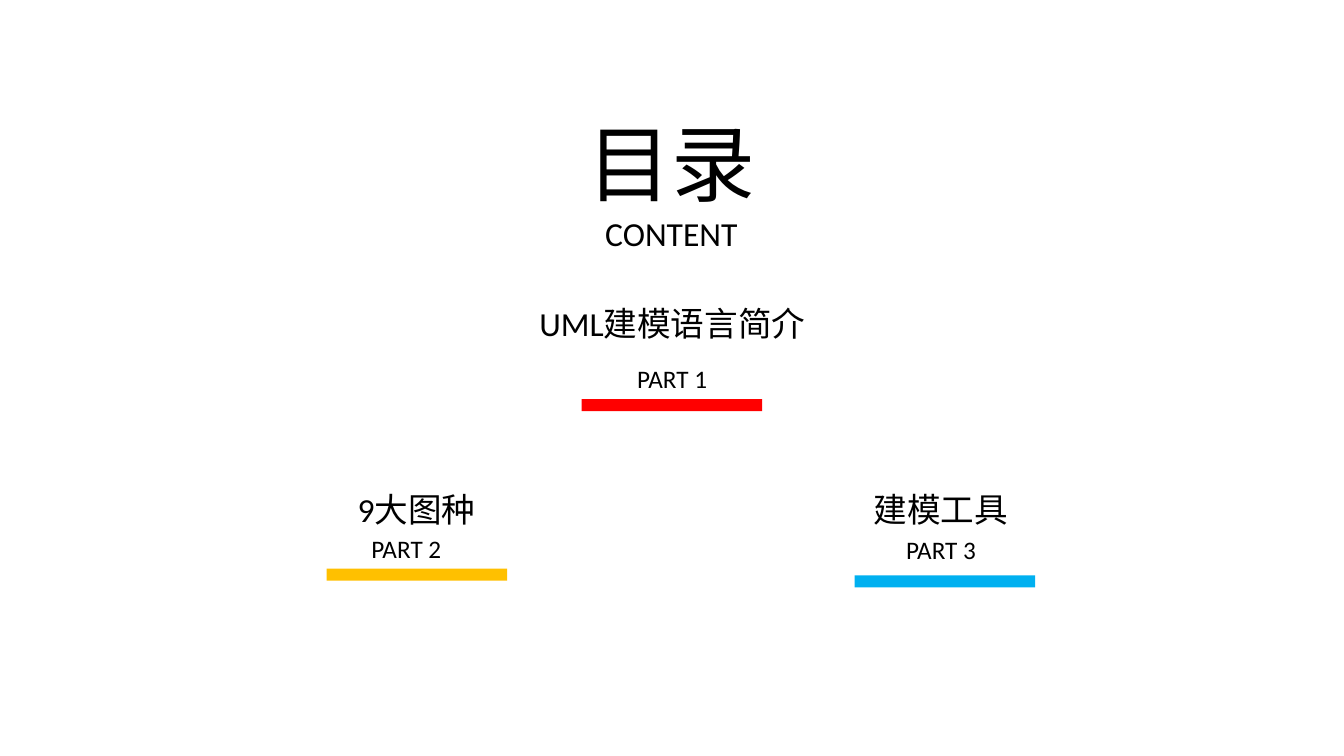
from pptx import Presentation
from pptx.dml.color import RGBColor
from pptx.enum.shapes import MSO_SHAPE
from pptx.enum.text import MSO_ANCHOR, MSO_AUTO_SIZE, PP_ALIGN
from pptx.util import Cm, Pt

FONT = "Calibri"
BLACK = "000000"
TITLE_LINES = [("目录", 60), ("CONTENT", 24)]

# topic, (left, top, width) of topic, (left, top, width) of label, (left, top) of bar, bar colour
PARTS = [
    ("UML建模语言简介", (13.21, 7.52, 7.47), (14.91, 8.79, 4.06), (14.66, 10.06), "FF0000"),
    ("9大图种", (7.11, 12.19, 6.78), (8.03, 13.08, 4.42), (8.23, 14.33), "FFC000"),
    ("建模工具", (20.32, 12.19, 6.78), (21.34, 13.11, 4.75), (21.54, 14.5), "00B0F0"),
]


def rgb(colour):
    return RGBColor.from_string(colour)


def format_paragraph(paragraph, text, size):
    paragraph.text = text
    paragraph.alignment = PP_ALIGN.CENTER
    paragraph.font.name = FONT
    paragraph.font.size = Pt(size)
    paragraph.font.color.rgb = rgb(BLACK)


def fill_title(slide):
    title = slide.shapes.title
    title.left, title.top, title.width, title.height = Cm(14.53), Cm(2.69), Cm(4.78), Cm(3.84)
    frame = title.text_frame
    frame.word_wrap = False
    frame.auto_size = MSO_AUTO_SIZE.SHAPE_TO_FIT_TEXT
    frame.vertical_anchor = MSO_ANCHOR.TOP
    frame.add_paragraph()
    for paragraph, (text, size) in zip(frame.paragraphs, TITLE_LINES):
        format_paragraph(paragraph, text, size)


def add_text(slide, text, place, height, size, line_spacing=None):
    left, top, width = place
    box = slide.shapes.add_textbox(Cm(left), Cm(top), Cm(width), Cm(height))
    frame = box.text_frame
    frame.word_wrap = True
    frame.auto_size = MSO_AUTO_SIZE.SHAPE_TO_FIT_TEXT
    paragraph = frame.paragraphs[0]
    format_paragraph(paragraph, text, size)
    paragraph.line_spacing = line_spacing


def add_bar(slide, place, colour):
    left, top = place
    bar = slide.shapes.add_shape(MSO_SHAPE.RECTANGLE, Cm(left), Cm(top), Cm(4.55), Cm(0.3))
    bar.shadow.inherit = False
    bar.fill.solid()
    bar.fill.fore_color.rgb = rgb(colour)
    bar.line.fill.background()


def main():
    presentation = Presentation()
    presentation.slide_width = Cm(33.87)
    presentation.slide_height = Cm(19.05)
    title_only = presentation.slide_layouts[5]
    slide = presentation.slides.add_slide(title_only)

    fill_title(slide)
    for number, (topic, topic_place, label_place, bar_place, colour) in enumerate(PARTS, start=1):
        add_text(slide, topic, topic_place, 1.27, 24)
        add_text(slide, f"PART {number}", label_place, 1.17, 18, line_spacing=1.3)
        add_bar(slide, bar_place, colour)

    presentation.save("out.pptx")


if __name__ == "__main__":
    main()
